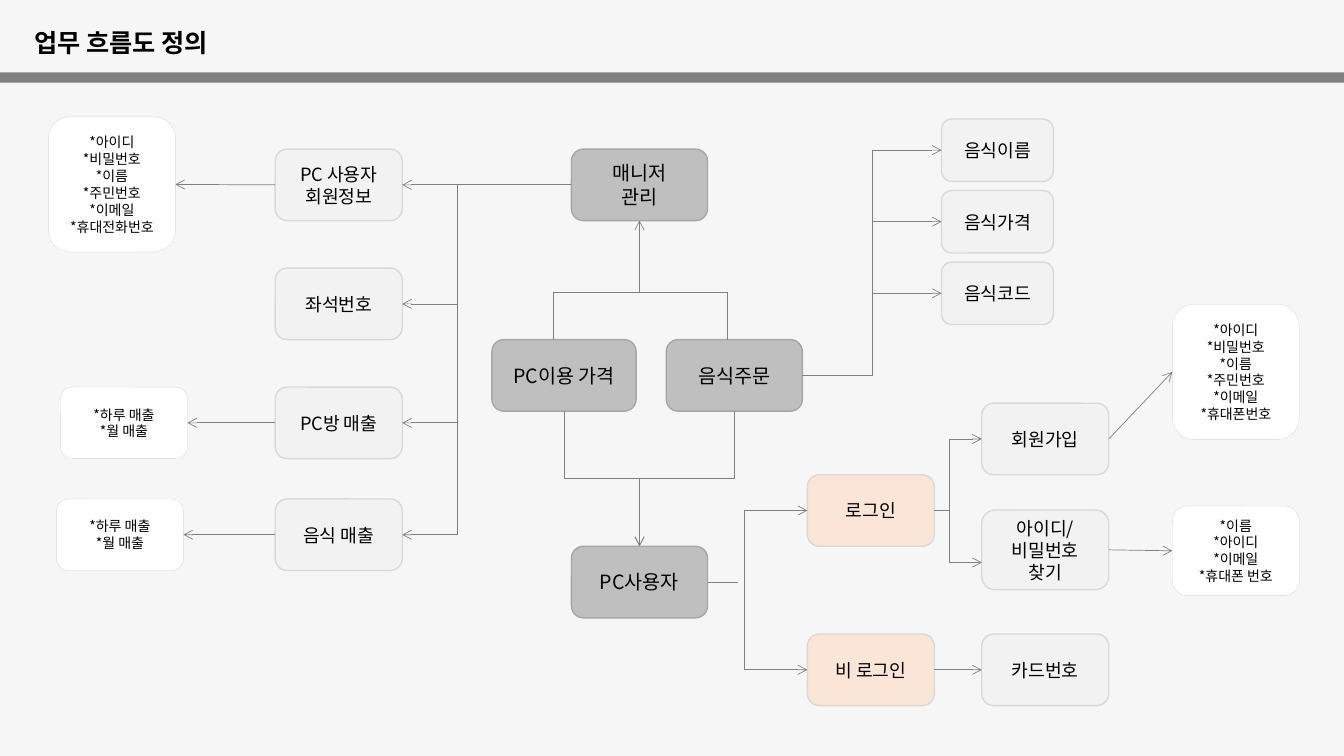
from dataclasses import dataclass

from lxml import etree
from pptx import Presentation
from pptx.dml.color import RGBColor
from pptx.enum.shapes import MSO_CONNECTOR, MSO_SHAPE
from pptx.enum.text import MSO_ANCHOR, PP_ALIGN
from pptx.oxml.ns import qn
from pptx.util import Pt

STRAIGHT, ELBOW = MSO_CONNECTOR.STRAIGHT, MSO_CONNECTOR.ELBOW
RECT, ROUNDED = MSO_SHAPE.RECTANGLE, MSO_SHAPE.ROUNDED_RECTANGLE
LEFT, CENTER = PP_ALIGN.LEFT, PP_ALIGN.CENTER
TOP, MIDDLE = MSO_ANCHOR.TOP, MSO_ANCHOR.MIDDLE

FONT = "Noto Sans CJK KR"
COLORS = {
    "background": "F6F6F6", "bar": "808080", "line": "808080", "text": "000000",
    "main": "BFBFBF", "main_edge": "A6A6A6", "step": "F2F2F2",
    "login": "FBE5D6", "note": "FFFFFF", "edge": "D9D9D9",
}


@dataclass(frozen=True)
class Style:
    fill: str
    edge: str
    weight: float
    size: float


@dataclass(frozen=True)
class Box:
    text: str
    style: Style
    x: float
    y: float
    w: float = 90.7
    h: float = 51.1

    @property
    def right(self) -> float:
        return self.x + self.w

    @property
    def bottom(self) -> float:
        return self.y + self.h

    @property
    def cx(self) -> float:
        return self.x + self.w / 2

    @property
    def cy(self) -> float:
        return self.y + self.h / 2


@dataclass(frozen=True)
class Link:
    x1: float
    y1: float
    x2: float
    y2: float
    arrow: bool = True
    elbow: bool = False
    downward: bool = False


MAIN = Style("main", "main_edge", 1, 14)
STEP = Style("step", "edge", 1, 13)
LOGIN = Style("login", "edge", 1, 13)
NOTE = Style("note", "edge", 0.25, 10)

manager = Box("매니저\n관리", MAIN, 408.2, 106.5, 97.2)
price = Box("PC이용 가격", MAIN, 351.4, 242.6, 103)
order = Box("음식주문", MAIN, 475.9, 242.6, 97.2)
user = Box("PC사용자", MAIN, 408.2, 390.2, 97.2)

records = [Box(text, STEP, 196.6, y) for text, y in (
    ("PC 사용자 회원정보", 106.5), ("좌석번호", 191.5),
    ("PC방 매출", 276.5), ("음식 매출", 356.4))]
member, seat, room_sales, food_sales = records
foods = [Box(text, STEP, 672.5, 85 + 51.1 * i, 79.9, 44.6)
         for i, text in enumerate(("음식이름", "음식가격", "음식코드"))]

login = Box("로그인", LOGIN, 576.7, 339.1)
guest = Box("비 로그인", LOGIN, 576.7, 452.9)
card = Box("카드번호", STEP, 701.3, 452.9)
signup = Box("회원가입", STEP, 701.3, 288)
find = Box("아이디/\n비밀번호\n찾기", STEP, 701.3, 364.3, h=56.9)

PROFILE = "*아이디\n*비밀번호\n*이름\n*주민번호\n*이메일\n"
SALES = "*하루 매출\n*월 매출"
member_note = Box(PROFILE + "*휴대전화번호", NOTE, 34.6, 83.5, h=96.5)
room_note = Box(SALES, NOTE, 43.2, 276.5)
food_note = Box(SALES, NOTE, 40.3, 356.4)
signup_note = Box(PROFILE + "*휴대폰번호", NOTE, 837.4, 217.4, h=96.5)
find_note = Box("*이름\n*아이디\n*이메일\n*휴대폰 번호", NOTE, 837.4, 361.4, h=64.1)

boxes = [manager, price, order, user, *records, *foods, login, guest, card, signup, find,
         member_note, room_note, food_note, signup_note, find_note]

PRICE_X, ORDER_X, JOIN_Y = 395.3, 519.8, 208.8
RECORD_X, ACCESS_X, LOGIN_X, FIND_Y = 326.9, 531.4, 678.2, 401.8

links = [
    Link(PRICE_X, JOIN_Y, ORDER_X, JOIN_Y, arrow=False),
    Link(PRICE_X, JOIN_Y, PRICE_X, price.y, arrow=False),
    Link(ORDER_X, JOIN_Y, ORDER_X, order.y, arrow=False),
    Link(manager.cx, JOIN_Y, manager.cx, manager.bottom),
    Link(403.2, price.bottom, user.cx, user.y, elbow=True, downward=True),
    Link(524.9, order.bottom, user.cx, user.y, elbow=True, downward=True),
    Link(manager.x, manager.cy, RECORD_X, manager.cy, arrow=False),
    Link(RECORD_X, member.cy, RECORD_X, food_sales.cy, arrow=False),
    *[Link(RECORD_X, b.cy, b.right, b.cy) for b in records],
    *[Link(order.right, order.cy, b.x, b.cy, elbow=True) for b in foods],
    Link(user.right, user.cy, 527.3, user.cy, arrow=False),
    Link(ACCESS_X, login.cy, ACCESS_X, guest.cy, arrow=False),
    *[Link(ACCESS_X, b.cy, b.x, b.cy) for b in (login, guest)],
    Link(login.right, login.cy, LOGIN_X, login.cy, arrow=False),
    Link(LOGIN_X, signup.cy, LOGIN_X, FIND_Y, arrow=False),
    *[Link(LOGIN_X, y, signup.x, y) for y in (signup.cy, FIND_Y)],
    Link(guest.right, guest.cy, card.x, card.cy),
    *[Link(a.x, a.cy, b.right, b.cy) for a, b in (
        (member, member_note), (room_sales, room_note), (food_sales, food_note))],
    *[Link(a.right, a.cy, b.x, b.cy) for a, b in ((signup, signup_note), (find, find_note))],
]


def color(name: str) -> RGBColor:
    return RGBColor.from_string(COLORS[name])


def write(s, text: str, *, size: float, bold: bool = False, align=CENTER, anchor=MIDDLE) -> None:
    tf = s.text_frame
    tf.word_wrap = True
    tf.vertical_anchor = anchor
    for i, line in enumerate(text.split("\n")):
        p = tf.paragraphs[0] if i == 0 else tf.add_paragraph()
        p.alignment = align
        r = p.add_run()
        r.text = line
        r.font.name = FONT
        r.font.size = Pt(size)
        r.font.bold = bold
        r.font.color.rgb = color("text")
        etree.SubElement(r.font._element, qn("a:ea"), typeface=FONT)


def draw_box(sp, box: Box) -> None:
    s = sp.add_shape(ROUNDED, Pt(box.x), Pt(box.y), Pt(box.w), Pt(box.h))
    s.shadow.inherit = False
    s.fill.solid()
    s.fill.fore_color.rgb = color(box.style.fill)
    s.line.color.rgb = color(box.style.edge)
    s.line.width = Pt(box.style.weight)
    write(s, box.text, size=box.style.size)


def draw_link(sp, link: Link) -> None:
    x1, y1, x2, y2 = link.x1, link.y1, link.x2, link.y2
    if link.downward:
        cx, cy = (x1 + x2) / 2, (y1 + y2) / 2
        dx, dy = (x2 - x1) / 2, (y2 - y1) / 2
        x1, y1, x2, y2 = cx - dy, cy + dx, cx + dy, cy - dx
    s = sp.add_connector(ELBOW if link.elbow else STRAIGHT, Pt(x1), Pt(y1), Pt(x2), Pt(y2))
    s.line.color.rgb = color("line")
    s.line.width = Pt(0.5)
    props = s._element.spPr
    if link.downward:
        props.find(qn("a:xfrm")).set("rot", "5400000")
    if link.arrow:
        etree.SubElement(props.find(qn("a:ln")), qn("a:tailEnd"), type="arrow")
    etree.SubElement(props, qn("a:effectLst"))


def main() -> None:
    prs = Presentation()
    prs.slide_width, prs.slide_height = Pt(960), Pt(540)
    slide = prs.slides.add_slide(prs.slide_layouts[6])
    slide.background.fill.solid()
    slide.background.fill.fore_color.rgb = color("background")
    sp = slide.shapes
    title = sp.add_textbox(Pt(17.3), Pt(15.8), Pt(208), Pt(29))
    write(title, "업무 흐름도 정의", size=18, bold=True, align=LEFT, anchor=TOP)
    bar = sp.add_shape(RECT, 0, Pt(51.8), prs.slide_width, Pt(7.2))
    bar.shadow.inherit = False
    bar.fill.solid()
    bar.fill.fore_color.rgb = color("bar")
    bar.line.fill.background()
    for box in boxes:
        draw_box(sp, box)
    for link in links:
        draw_link(sp, link)
    prs.save("out.pptx")


if __name__ == "__main__":
    main()
